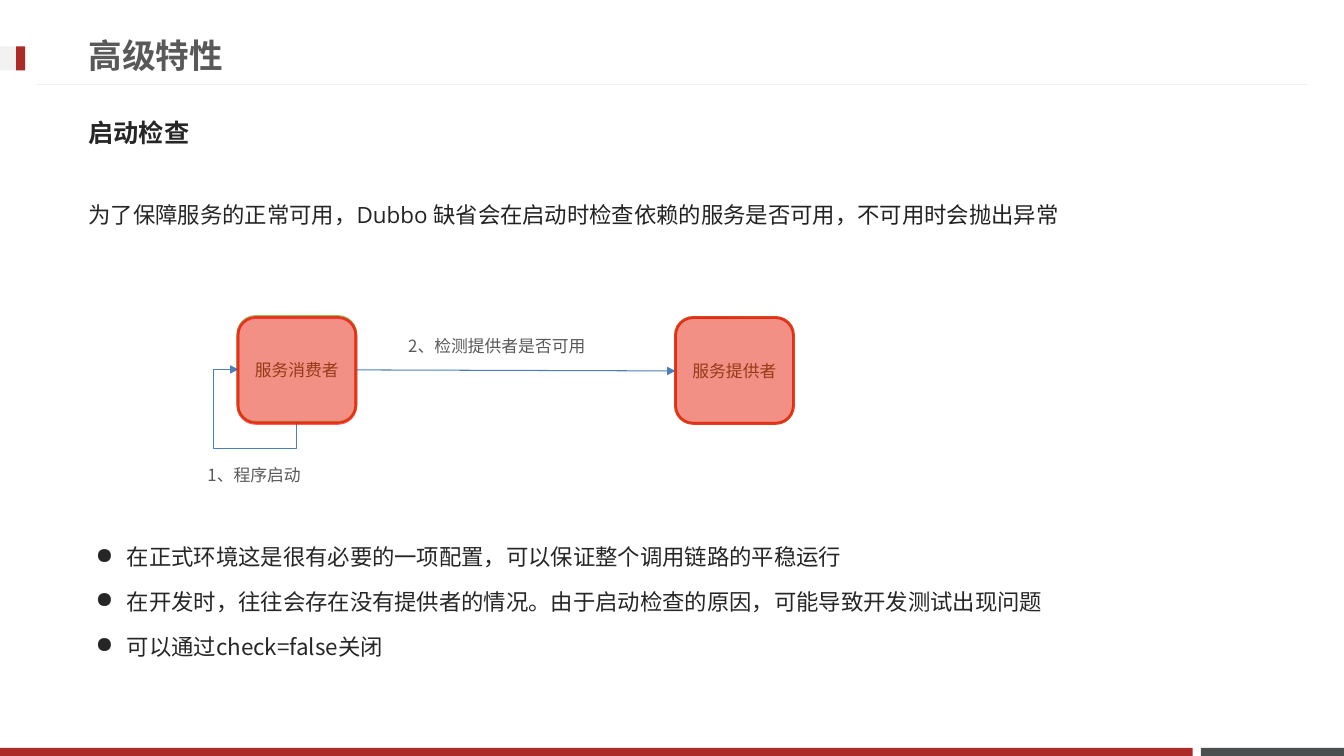
from lxml import etree
from pptx import Presentation
from pptx.dml.color import RGBColor
from pptx.enum.shapes import MSO_CONNECTOR, MSO_SHAPE
from pptx.enum.text import MSO_ANCHOR, MSO_AUTO_SIZE, PP_ALIGN
from pptx.oxml.ns import qn
from pptx.util import Inches, Pt

RECTANGLE, ROUNDED = MSO_SHAPE.RECTANGLE, MSO_SHAPE.ROUNDED_RECTANGLE
STRAIGHT, ELBOW = MSO_CONNECTOR.STRAIGHT, MSO_CONNECTOR.ELBOW
TOP, MIDDLE = MSO_ANCHOR.TOP, MSO_ANCHOR.MIDDLE
GROW, CENTER = MSO_AUTO_SIZE.SHAPE_TO_FIT_TEXT, PP_ALIGN.CENTER

SLATE = RGBColor(0x49, 0x50, 0x4F)
BRICK = RGBColor(0xAD, 0x2B, 0x26)
PALE = RGBColor(0xF2, 0xF2, 0xF2)
GRAY = RGBColor(0x59, 0x59, 0x59)
INK = RGBColor(0x26, 0x26, 0x26)
DARK = RGBColor(0x22, 0x22, 0x22)
MINT = RGBColor(0xEB, 0xF1, 0xDE)
GREEN = RGBColor(0x9B, 0xBB, 0x59)
MOSS = RGBColor(0x4F, 0x62, 0x28)
BLUE = RGBColor(0x4B, 0x7E, 0xBC)
RED = RGBColor(0xFF, 0x00, 0x00)

CJK, MONO, LATIN, CALIBRI = "Noto Sans CJK JP", "Noto Sans Mono", "Open Sans", "Calibri"

BARS = [
    (11.91, 7.42, 1.42, 0.08, SLATE),
    (0, 7.42, 11.83, 0.08, BRICK),
    (0, 0.46, 0.25, 0.24, PALE),
    (0.16, 0.46, 0.09, 0.24, BRICK),
]
SERVICES = [(2.36, 3.14, "服务消费者"), (6.7, 3.15, "服务提供者")]
LABELS = [(1.96, 4.56, 1.14, "1、程序启动"), (3.95, 3.28, 1.98, "2、检测提供者是否可用")]
BULLETS = [
    "在正式环境这是很有必要的一项配置，可以保证整个调用链路的平稳运行",
    "在开发时，往往会存在没有提供者的情况。由于启动检查的原因，可能导致开发测试出现问题",
    "可以通过check=false关闭",
]


def set_font(font, size, color, name=CJK, bold=False):
    """Set size, colour, typeface and weight of a font."""
    font.size, font.name, font.bold = Pt(size), name, bold
    font.color.rgb = color


def add_box(page, kind, left, top, width, height, fill, line=None):
    """Add a filled preset shape, outlined when a line colour is given."""
    box = page.shapes.add_shape(kind, Inches(left), Inches(top), Inches(width), Inches(height))
    box.shadow.inherit = False
    box.fill.solid()
    box.fill.fore_color.rgb = fill
    if line is None:
        box.line.fill.background()
    else:
        box.line.color.rgb = line
        box.line.width = Pt(2)
    return box


def add_service(page, left, top, name):
    """Add a service box with its centred name."""
    box = add_box(page, ROUNDED, left, top, 1.17, 1.05, MINT, GREEN)
    box.text_frame.vertical_anchor = MIDDLE
    para = box.text_frame.paragraphs[0]
    para.text, para.alignment = name, CENTER
    set_font(para.font, 12, MOSS, CALIBRI)


def add_highlight(page, left):
    """Add a translucent red cover over a service box."""
    cover = add_box(page, ROUNDED, left, 3.15, 1.17, 1.05, RED, RED)
    colors = cover._element.spPr.iter(qn("a:srgbClr"))
    for color, alpha in zip(colors, (40, 64)):
        etree.SubElement(color, qn("a:alpha"), val=str(alpha * 1000))


def add_line(page, kind, start, end, color, arrow=False):
    """Add a thin connector, with an arrowhead at its end if asked."""
    line = page.shapes.add_connector(kind, *map(Inches, start + end))
    line.line.color.rgb = color
    line.line.width = Pt(0.75)
    if arrow:
        etree.SubElement(line.line._get_or_add_ln(), qn("a:tailEnd"), type="triangle")
    etree.SubElement(line._element.spPr, qn("a:effectLst"))
    return line


def add_loop(page):
    """Add the arrow that leaves the consumer below and returns at its left."""
    loop = add_line(page, ELBOW, (2.92, 3.64), (2.39, 4.22), BLUE, True)
    properties = loop._element.spPr
    properties.find(qn("a:xfrm")).set("rot", "5400000")
    geometry = properties.find(qn("a:prstGeom"))
    geometry.set("prst", "bentConnector4")
    guides = geometry.find(qn("a:avLst"))
    for name, value in (("adj1", -47500), ("adj2", 142700)):
        etree.SubElement(guides, qn("a:gd"), name=name, fmla=f"val {value}")


def add_text(page, left, top, width, height, text="", anchor=TOP, **style):
    """Add a wrapping text box and return it."""
    box = page.shapes.add_textbox(Inches(left), Inches(top), Inches(width), Inches(height))
    box.text_frame.word_wrap = True
    box.text_frame.vertical_anchor = anchor
    if text:
        para = box.text_frame.paragraphs[0]
        para.text = text
        set_font(para.font, **style)
    return box


def add_intro(page):
    """Add the introductory sentence in its two typefaces."""
    para = add_text(page, 0.78, 1.81, 11.7, 0.57).text_frame.paragraphs[0]
    para.line_spacing = 1.5
    for text, color, name in (
        ("为了保障服务的正常可用，", INK, CJK),
        ("Dubbo 缺省会在启动时检查依赖的服务是否可用，不可用时会抛出异常", DARK, LATIN),
    ):
        span = para.add_run()
        span.text = text
        set_font(span.font, 16, color, name)


def add_bullets(page):
    """Add the bulleted remarks."""
    frame = add_text(page, 0.85, 5.21, 11.7, 1.67).text_frame
    for index, text in enumerate(BULLETS):
        para = frame.add_paragraph() if index else frame.paragraphs[0]
        para.text, para.line_spacing = text, 1.5
        if index:
            para.space_before = Pt(3.2)
        properties = para._p.get_or_add_pPr()
        properties.set("marL", str(Inches(0.31)))
        properties.set("indent", str(Inches(-0.31)))
        etree.SubElement(properties, qn("a:buChar"), char="●")
        set_font(para.font, 16, INK)


def main():
    """Build the slide and save the deck."""
    deck = Presentation()
    deck.slide_width, deck.slide_height = Inches(13.33), Inches(7.5)
    page = deck.slides.add_slide(deck.slide_layouts[6])
    for left, top, width, height, color in BARS:
        add_box(page, RECTANGLE, left, top, width, height, color)
    add_line(page, STRAIGHT, (12.98, 0.84), (0.35, 0.84), PALE)
    add_text(page, 0.78, 0.26, 9.59, 0.57, "高级特性", MIDDLE,
             size=24, color=GRAY, name=MONO, bold=True)
    add_text(page, 0.78, 1.03, 11.7, 0.57, "启动检查", MIDDLE, size=18, color=INK, bold=True)
    add_intro(page)
    for left, top, name in SERVICES:
        add_service(page, left, top, name)
    add_loop(page)
    add_line(page, STRAIGHT, (3.53, 3.67), (6.7, 3.68), BLUE, True)
    for left, top, width, text in LABELS:
        label = add_text(page, left, top, width, 0.3, text, size=12, color=GRAY)
        label.text_frame.auto_size = GROW
    for left, _, _ in SERVICES:
        add_highlight(page, left)
    add_bullets(page)
    deck.save("out.pptx")


if __name__ == "__main__":
    main()
